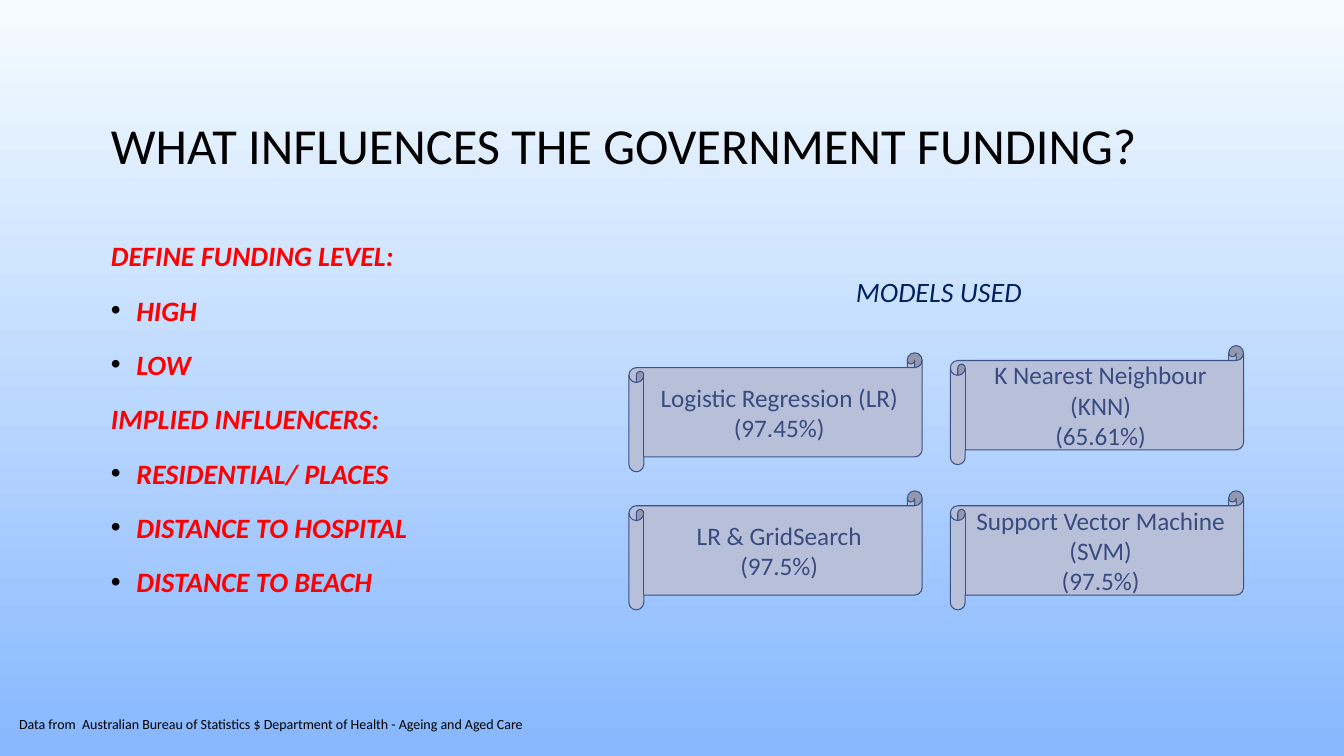
"""Build the slide on what influences government funding."""
from dataclasses import dataclass

from lxml import etree
from pptx import Presentation
from pptx.dml.color import RGBColor
from pptx.enum.shapes import MSO_SHAPE
from pptx.enum.text import MSO_ANCHOR, MSO_AUTO_SIZE, PP_ALIGN
from pptx.oxml.ns import qn
from pptx.util import Cm, Pt

SCROLL = MSO_SHAPE.HORIZONTAL_SCROLL
TOP, MIDDLE = MSO_ANCHOR.TOP, MSO_ANCHOR.MIDDLE
NO_AUTOFIT = MSO_AUTO_SIZE.NONE
LEFT, CENTER = PP_ALIGN.LEFT, PP_ALIGN.CENTER

TITLE = "WHAT INFLUENCES THE GOVERNMENT FUNDING?"
TOPICS = [
    ("DEFINE FUNDING LEVEL:", ["HIGH", "LOW"]),
    ("IMPLIED INFLUENCERS:",
     ["RESIDENTIAL/ PLACES", "DISTANCE TO HOSPITAL", "DISTANCE TO BEACH"]),
]
MODELS_HEADING = "MODELS USED"
MODELS = [
    ("Logistic Regression (LR)", "(97.45%)"),
    ("K Nearest Neighbour (KNN)", "(65.61%)"),
    ("LR & GridSearch", "(97.5%)"),
    ("Support Vector Machine (SVM)", "(97.5%)"),
]
SOURCE = "Data from  Australian Bureau of Statistics $ Department of Health - Ageing and Aged Care"

TITLE_BOX = (2.54, 1.73, 28.78, 3.99)
TOPICS_BOX = (2.54, 5.72, 12.88, 10.46)
HEADING_BOX = (19.2, 6.63, 8.92, 1.78)
SOURCE_BOX = (0.23, 17.73, 18.54, 1.02)
SCROLL_SIZE = (7.39, 3.0)
SCROLL_COLUMNS = (15.85, 23.95)
SCROLL_TOPS = (8.89, 8.71, 12.37, 12.37)
BULLET_INDENT = Cm(0.64)


@dataclass(frozen=True)
class Theme:
    font: str = "Calibri"
    sky: str = "F5FCFF"
    horizon: str = "87B7FF"
    text: str = "000000"
    topic: str = "FF0000"
    heading: str = "002060"
    scroll_fill: str = "B8BFD8"
    scroll_line: str = "3B528A"
    scroll_text: str = "384C81"
    title_size: int = 36
    body_size: int = 20
    scroll_size: int = 18
    source_size: int = 10


THEME = Theme()


def rgb(color):
    return RGBColor.from_string(color)


def lengths(box):
    return [Cm(value) for value in box]


def place(shape, box):
    shape.left, shape.top, shape.width, shape.height = lengths(box)


def set_bullet(paragraph, bulleted):
    properties = paragraph._p.get_or_add_pPr()
    properties.set("marL", str(BULLET_INDENT if bulleted else 0))
    properties.set("indent", str(-BULLET_INDENT if bulleted else 0))
    if bulleted:
        color = etree.SubElement(properties, qn("a:buClr"))
        etree.SubElement(color, qn("a:srgbClr"), val=THEME.text)
        etree.SubElement(properties, qn("a:buFont"), typeface="Arial")
        etree.SubElement(properties, qn("a:buChar"), char="•")
    else:
        etree.SubElement(properties, qn("a:buNone"))


def write(shape, lines, size, color, anchor=MIDDLE, align=LEFT,
          spacing=1.0, before=0, bold=False, italic=False, bullets=None):
    frame = shape.text_frame
    frame.word_wrap = True
    frame.auto_size = NO_AUTOFIT
    frame.vertical_anchor = anchor
    frame.text = "\n".join(lines)
    for index, paragraph in enumerate(frame.paragraphs):
        paragraph.alignment = align
        paragraph.line_spacing = spacing
        paragraph.space_before = Pt(before)
        if bullets:
            set_bullet(paragraph, bullets[index])
        font = paragraph.font
        font.name, font.size = THEME.font, Pt(size)
        font.bold, font.italic = bold, italic
        font.color.rgb = rgb(color)


def paint_background(slide):
    fill = slide.background.fill
    fill.gradient()
    fill.gradient_angle = 270
    for stop, color in zip(fill.gradient_stops, (THEME.sky, THEME.horizon)):
        stop.color.rgb = rgb(color)


def add_topics(body):
    place(body, TOPICS_BOX)
    lines, bullets = [], []
    for topic, items in TOPICS:
        lines += [topic, *items]
        bullets += [False] + [True] * len(items)
    write(body, lines, THEME.body_size, THEME.topic, TOP, spacing=1.2,
          before=10, bold=True, italic=True, bullets=bullets)


def add_models(slide):
    for index, (model, top) in enumerate(zip(MODELS, SCROLL_TOPS)):
        left = SCROLL_COLUMNS[index % len(SCROLL_COLUMNS)]
        scroll = slide.shapes.add_shape(SCROLL, *lengths((left, top, *SCROLL_SIZE)))
        scroll.shadow.inherit = False
        scroll.fill.solid()
        scroll.fill.fore_color.rgb = rgb(THEME.scroll_fill)
        scroll.line.color.rgb = rgb(THEME.scroll_line)
        scroll.line.width = Pt(0.75)
        write(scroll, model, THEME.scroll_size, THEME.scroll_text, align=CENTER)
    heading = slide.shapes.add_textbox(*lengths(HEADING_BOX))
    write(heading, [MODELS_HEADING], THEME.body_size, THEME.heading, TOP, CENTER,
          spacing=1.2, before=10, italic=True)


def main():
    presentation = Presentation()
    presentation.slide_width, presentation.slide_height = Cm(33.87), Cm(19.05)
    slide = presentation.slides.add_slide(presentation.slide_layouts[1])
    title, body = slide.placeholders
    paint_background(slide)
    place(title, TITLE_BOX)
    write(title, [TITLE], THEME.title_size, THEME.text, spacing=0.9)
    source = slide.shapes.add_textbox(*lengths(SOURCE_BOX))
    write(source, [SOURCE], THEME.source_size, THEME.text)
    add_topics(body)
    add_models(slide)
    presentation.save("out.pptx")


if __name__ == "__main__":
    main()
